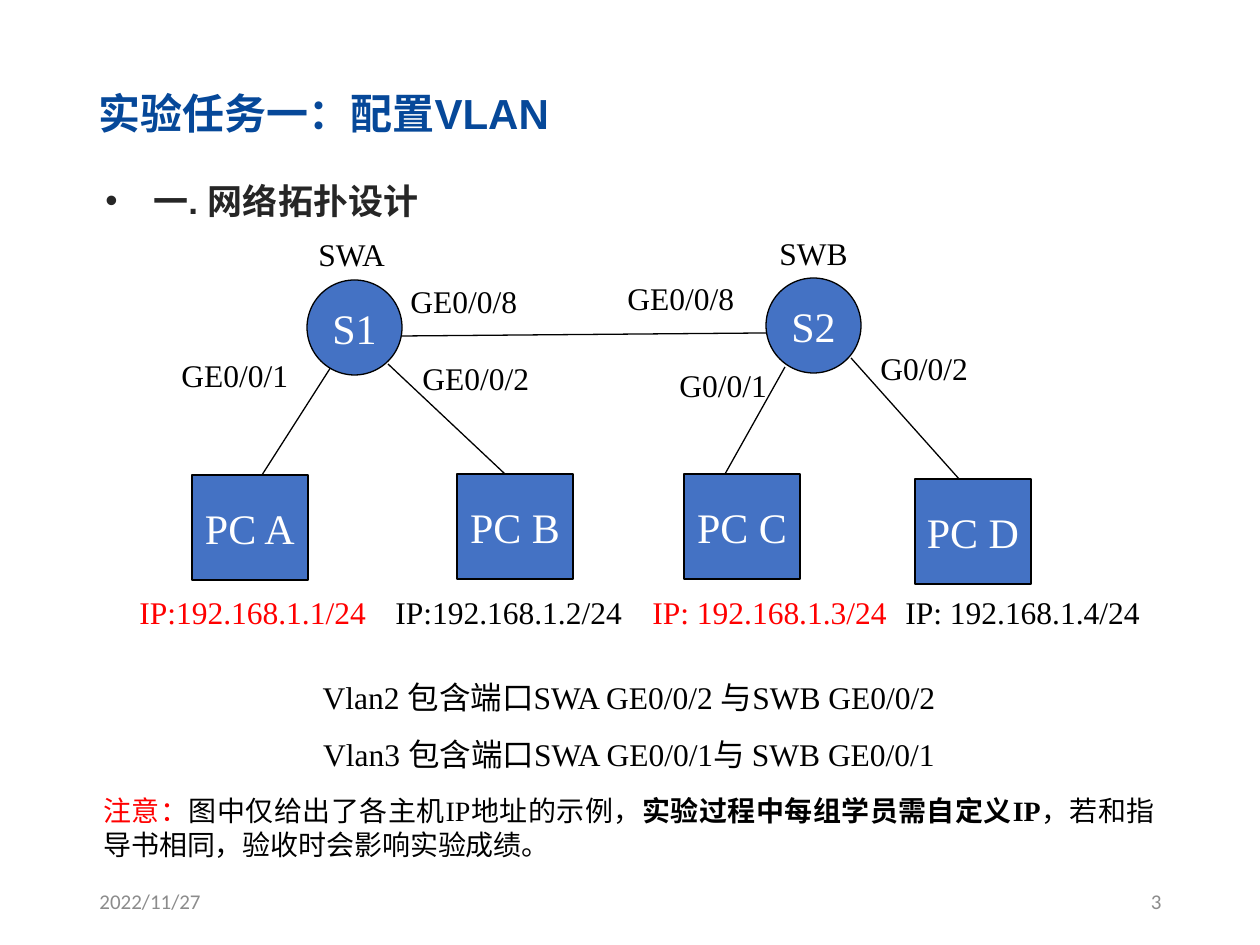
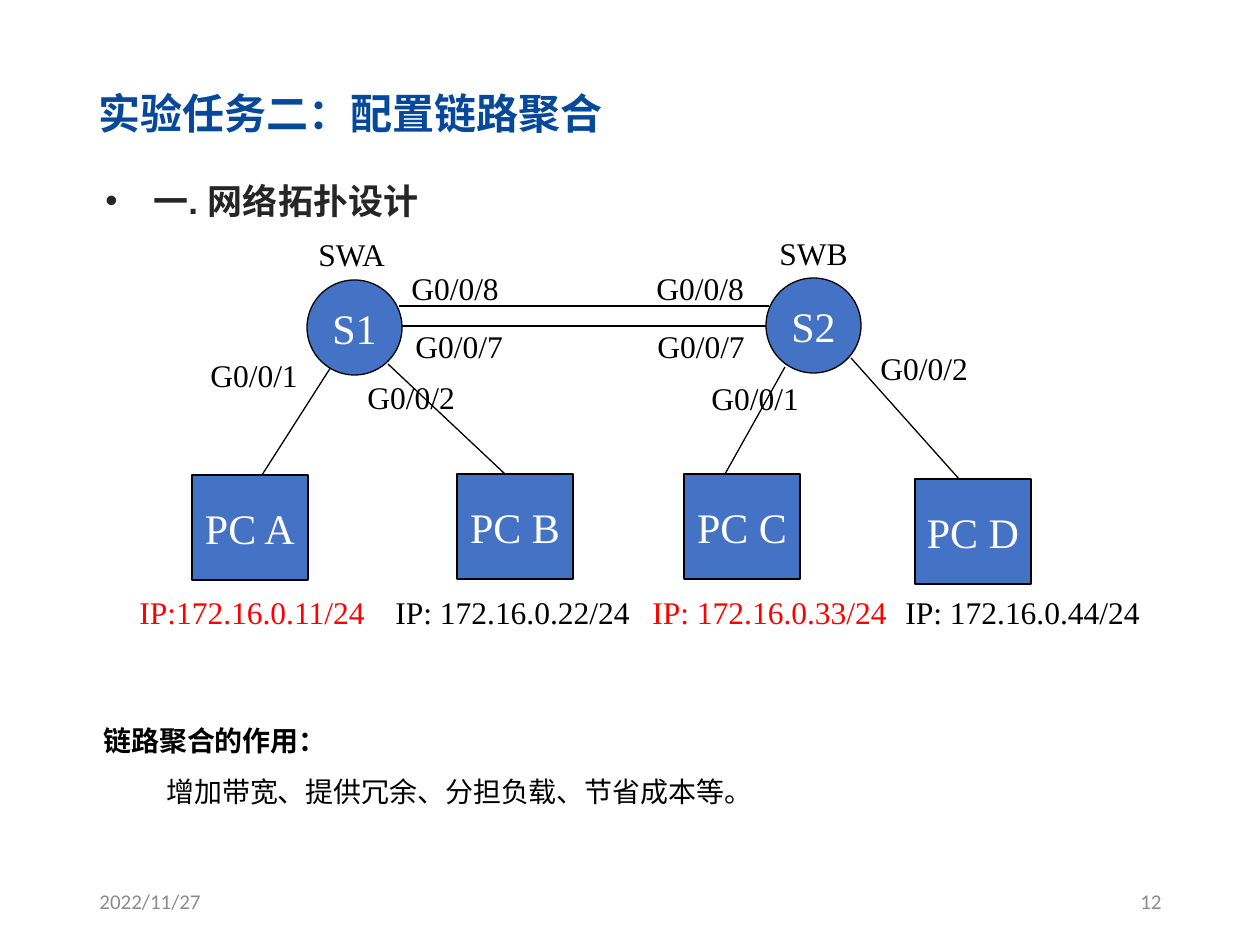
from lxml.etree import SubElement
from pptx import Presentation
from pptx.dml.color import RGBColor
from pptx.enum.shapes import MSO_CONNECTOR, MSO_SHAPE
from pptx.enum.text import MSO_ANCHOR, MSO_AUTO_SIZE, PP_ALIGN
from pptx.oxml.ns import qn
from pptx.util import Pt

PX = 914400 / 126  # EMU per px

COLORS = {
    "title": "064899", "heading": "262626", "footer": "8C8C8C",
    "device": "4472C4", "black": "000000", "white": "FFFFFF", "red": "FF0000",
}
FONTS = {
    "title": {"name": "Arial", "size": Pt(24), "bold": True},
    "heading": {"name": "Arial", "size": Pt(20), "bold": True},
    "footer": {"name": "Calibri", "size": Pt(12)},
    "device": {"name": "Times New Roman", "size": Pt(24)},
    "label": {"name": "Times New Roman", "size": Pt(18)},
    "note": {"name": "Times New Roman", "size": Pt(16)},
    "strong": {"name": "Times New Roman", "size": Pt(16), "bold": True},
}

# Parts of the network that both tasks share
SWITCH_SIZE = (95, 95)
SWITCHES = [("S1", 307, 280), ("S2", 766, 278)]
SWITCH_NAMES = [("SWA", 306, 229, 115), ("SWB", 767, 228, 115)]
PC_SIZE = (116, 105)
PCS = [("PC A", 192, 475), ("PC B", 457, 474), ("PC C", 684, 474), ("PC D", 915, 479)]
PC_LINKS = [(262, 475, 331, 367), (505, 474, 388, 364),
            (725, 474, 785, 367), (960, 480, 851, 358)]
IP_LEFTS = [127, 383, 640, 893]
IP_COLORS = ["red", "black"] * 2


def px(*lengths):
    return [round(length * PX) for length in lengths]


def set_all(target, values):
    for name, value in values.items():
        setattr(target, name, value)


class Deck:
    """Holds the presentation, its style and the current slide."""

    def __init__(self):
        self.presentation = Presentation()
        set_all(self.presentation, dict(zip(("slide_width", "slide_height"), px(1260, 945))))
        self.slide = None

    def run(self, paragraph, text, font, color):
        run = paragraph.add_run()
        run.text = text
        set_all(run.font, FONTS[font])
        run.font.color.rgb = RGBColor.from_string(COLORS[color])

    def paragraph(self, frame, runs, indent=0, bullet=None, **settings):
        """Fill the first empty paragraph of the frame, or add one."""
        paragraph = frame.paragraphs[-1]
        if paragraph.runs:
            paragraph = frame.add_paragraph()
        set_all(paragraph, settings)
        for text, font, color in runs:
            self.run(paragraph, text, font, color)
        properties = paragraph._p.get_or_add_pPr()
        if indent:
            properties.set("marL", str(px(indent)[0]))
        if bullet:
            properties.set("indent", str(px(-indent)[0]))
            SubElement(properties, qn("a:buFont"), typeface="Arial")
            SubElement(properties, qn("a:buChar"), char=bullet)

    def new_slide(self, title):
        self.slide = self.presentation.slides.add_slide(self.presentation.slide_layouts[5])
        shape = self.slide.shapes.title
        set_all(shape, dict(zip(("left", "top", "width", "height"), px(86, 81, 1074, 63))))
        set_all(shape.text_frame, {"vertical_anchor": MSO_ANCHOR.MIDDLE,
                                   "auto_size": MSO_AUTO_SIZE.NONE})
        self.paragraph(shape.text_frame, [(title, "title", "title")], alignment=PP_ALIGN.LEFT)

    def text_box(self, left, top, width, height, anchor=MSO_ANCHOR.TOP):
        frame = self.slide.shapes.add_textbox(*px(left, top, width, height)).text_frame
        set_all(frame, {"word_wrap": True, "vertical_anchor": anchor})
        return frame

    def heading(self, text):
        self.paragraph(self.text_box(93, 152, 1074, 69), [(text, "heading", "heading")],
                       indent=48, bullet="•", line_spacing=1.5)

    def footer(self, date, number):
        for text, left, alignment in ((date, 87, PP_ALIGN.LEFT), (number, 890, PP_ALIGN.RIGHT)):
            self.paragraph(self.text_box(left, 876, 284, 50, MSO_ANCHOR.MIDDLE),
                           [(text, "footer", "footer")], alignment=alignment)

    def label(self, text, left, top, width, color="black"):
        self.paragraph(self.text_box(left, top, width, 50), [(text, "label", color)])

    def device(self, kind, text, left, top, size):
        shape = self.slide.shapes.add_shape(kind, *px(left, top, *size))
        shape.shadow.inherit = False
        shape.fill.solid()
        shape.fill.fore_color.rgb = RGBColor.from_string(COLORS["device"])
        self.outline(shape)
        set_all(shape.text_frame, {"word_wrap": False, "vertical_anchor": MSO_ANCHOR.MIDDLE})
        self.paragraph(shape.text_frame, [(text, "device", "white")], alignment=PP_ALIGN.CENTER)

    def link(self, *ends):
        connector = self.slide.shapes.add_connector(MSO_CONNECTOR.STRAIGHT, *px(*ends))
        self.outline(connector)
        SubElement(connector._element.spPr, qn("a:effectLst"))

    def outline(self, shape):
        shape.line.color.rgb = RGBColor.from_string(COLORS["black"])
        shape.line.width = Pt(0.75)

    def topology(self, trunks, addresses, ports):
        for ends in PC_LINKS + trunks:
            self.link(*ends)
        for name, left, top in SWITCHES:
            self.device(MSO_SHAPE.OVAL, name, left, top, SWITCH_SIZE)
        for name, left, top in PCS:
            self.device(MSO_SHAPE.RECTANGLE, name, left, top, PC_SIZE)
        for address, left, color in zip(addresses, IP_LEFTS, IP_COLORS):
            self.label(address, left, 587, 264, color)
        for label in SWITCH_NAMES + ports:
            self.label(*label)

    def task(self, title, number, **network):
        self.new_slide(title)
        self.footer("2022/11/27", number)
        self.heading("一. 网络拓扑设计")
        self.topology(**network)


def main():
    deck = Deck()

    # Task one: VLAN
    deck.task(
        "实验任务一：配置VLAN", "3",
        trunks=[(766, 333, 402, 336)],
        addresses=["IP:192.168.1.1/24", "IP:192.168.1.2/24",
                   "IP: 192.168.1.3/24", "IP: 192.168.1.4/24"],
        ports=[("GE0/0/1", 169, 350, 156), ("GE0/0/2", 410, 353, 144),
               ("G0/0/1", 667, 360, 123), ("G0/0/2", 868, 343, 129),
               ("GE0/0/8", 398, 276, 144), ("GE0/0/8", 615, 273, 144)])
    frame = deck.text_box(91, 653, 1076, 217)
    for text in ("Vlan2 包含端口SWA GE0/0/2 与SWB GE0/0/2",
                 "Vlan3 包含端口SWA GE0/0/1与 SWB GE0/0/1"):
        deck.paragraph(frame, [(text, "label", "black")],
                       alignment=PP_ALIGN.CENTER, line_spacing=1.5)
    deck.paragraph(frame, [
        ("注意：", "note", "red"),
        ("图中仅给出了各主机IP地址的示例，", "note", "black"),
        ("实验过程中每组学员需自定义IP", "strong", "black"),
        ("，若和指导书相同，验收时会影响实验成绩。", "note", "black"),
    ], alignment=PP_ALIGN.JUSTIFY, space_before=Pt(12))

    # Task two: link aggregation
    deck.task(
        "实验任务二：配置链路聚合", "12",
        trunks=[(769, 306, 399, 306), (766, 326, 402, 326)],
        addresses=["IP:172.16.0.11/24", "IP: 172.16.0.22/24",
                   "IP: 172.16.0.33/24", "IP: 172.16.0.44/24"],
        ports=[("G0/0/1", 198, 350, 126), ("G0/0/2", 355, 372, 144),
               ("G0/0/1", 699, 373, 123), ("G0/0/2", 868, 343, 129),
               ("G0/0/8", 399, 263, 115), ("G0/0/8", 644, 263, 115),
               ("G0/0/7", 403, 321, 113), ("G0/0/7", 645, 321, 113)])
    frame = deck.text_box(91, 701, 1076, 112)
    deck.paragraph(frame, [("链路聚合的作用：", "strong", "black")], line_spacing=1.5)
    deck.paragraph(frame, [("增加带宽、提供冗余、分担负载、节省成本等。", "note", "black")],
                   indent=63, line_spacing=1.5)

    deck.presentation.save("out.pptx")


if __name__ == "__main__":
    main()
